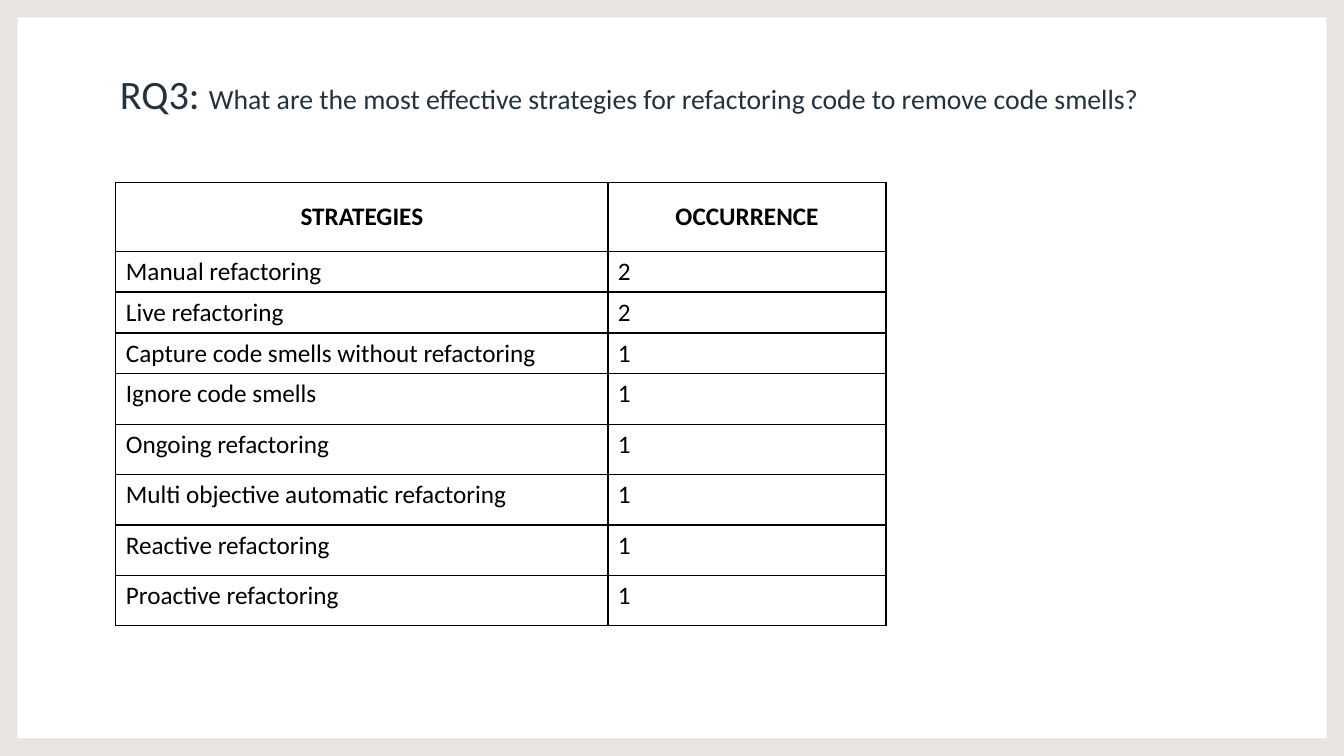
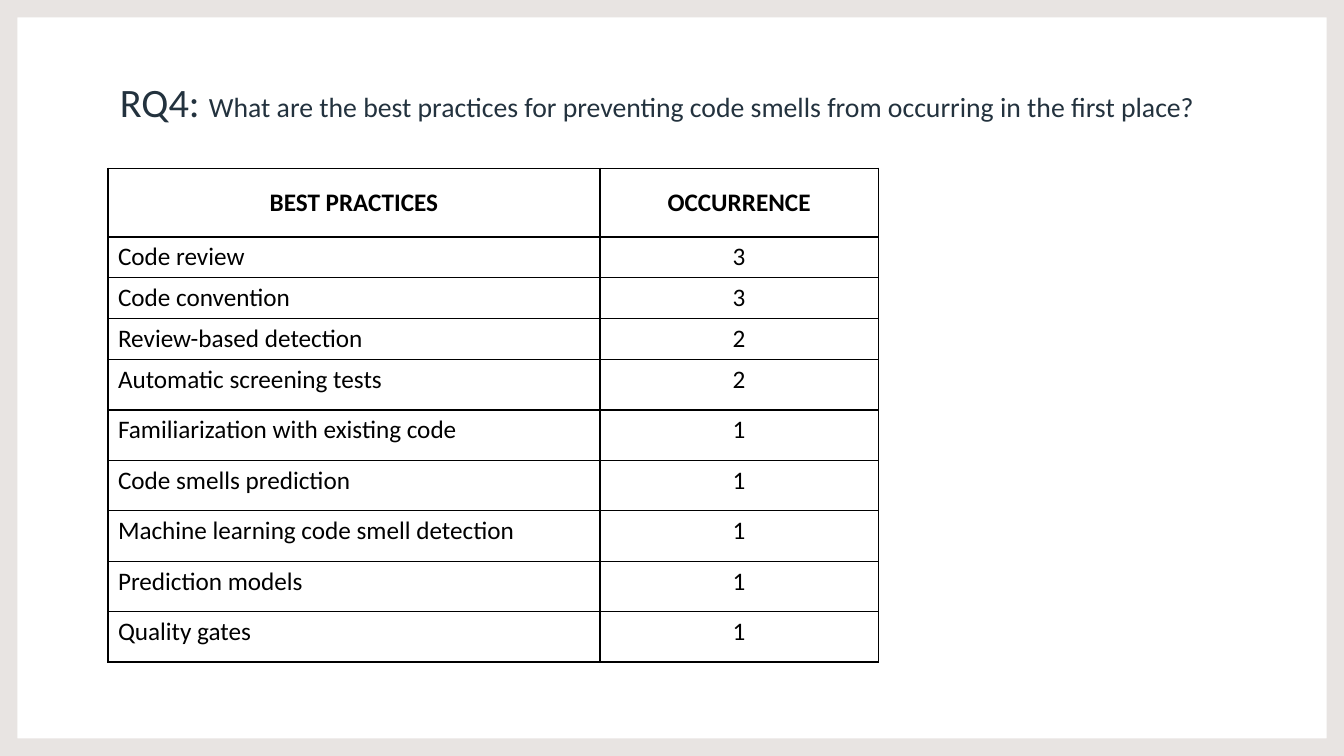
from lxml.etree import SubElement
from pptx import Presentation
from pptx.dml.color import RGBColor
from pptx.enum.shapes import MSO_SHAPE as SHAPE
from pptx.enum.text import MSO_ANCHOR as ANCHOR, MSO_AUTO_SIZE as AUTO_SIZE, PP_ALIGN as ALIGN
from pptx.oxml.ns import qn
from pptx.util import Cm, Pt

FONT = "Calibri"
SLATE = RGBColor(0x23, 0x32, 0x3E)
STONE = RGBColor(0xE8, 0xE4, 0xE2)
BLACK = RGBColor(0x00, 0x00, 0x00)

MARGIN = Cm(0.44)
COLUMN_WIDTHS = Cm(12.4), Cm(7.01)
HEADER_HEIGHT, SHORT_ROW, TALL_ROW = Cm(1.73), Cm(0.97), Cm(1.27)
SHORT_ROW_COUNT = 3

QUESTIONS = [
    {
        "label": "RQ3: ",
        "question": "What are the most effective strategies for refactoring code "
                    "to remove code smells?",
        "title_height": Cm(1.5),
        "table_corner": (Cm(2.92), Cm(4.6)),
        "count_align": ALIGN.LEFT,
        "header": ("STRATEGIES", "OCCURRENCE"),
        "answers": [
            ("Manual refactoring", 2),
            ("Live refactoring", 2),
            ("Capture code smells without refactoring", 1),
            ("Ignore code smells", 1),
            ("Ongoing refactoring", 1),
            ("Multi objective automatic refactoring", 1),
            ("Reactive refactoring", 1),
            ("Proactive refactoring", 1),
        ],
    },
    {
        "label": "RQ4: ",
        "question": "What are the best practices for preventing code smells "
                    "from occurring in the first place?",
        "title_height": Cm(1.7),
        "table_corner": (Cm(2.72), Cm(4.24)),
        "count_align": ALIGN.CENTER,
        "header": ("BEST PRACTICES", "OCCURRENCE"),
        "answers": [
            ("Code review", 3),
            ("Code convention", 3),
            ("Review-based detection", 2),
            ("Automatic screening tests", 2),
            ("Familiarization with existing code", 1),
            ("Code smells prediction", 1),
            ("Machine learning code smell detection", 1),
            ("Prediction models", 1),
            ("Quality gates", 1),
        ],
    },
]


def outline_cell(cell):
    """Draw a thin black line on all four sides of a table cell."""
    properties = cell._tc.get_or_add_tcPr()
    for side in ("lnL", "lnR", "lnT", "lnB"):
        line = SubElement(properties, qn(f"a:{side}"), w=str(Pt(1)))
        fill = SubElement(line, qn("a:solidFill"))
        SubElement(fill, qn("a:srgbClr"), val=str(BLACK))


def fill_cell(cell, text, align, is_header):
    """Write and format one cell of an answer table."""
    outline_cell(cell)
    cell.fill.background()
    cell.text = text
    cell.vertical_anchor = ANCHOR.MIDDLE if is_header else ANCHOR.TOP
    paragraph = cell.text_frame.paragraphs[0]
    paragraph.alignment = align
    paragraph.font.name = FONT
    paragraph.font.size = Pt(18)
    paragraph.font.bold = is_header
    paragraph.font.color.rgb = BLACK


deck = Presentation()
deck.slide_width, deck.slide_height = Cm(33.87), Cm(19.05)
layout = deck.slide_layouts.get_by_name("Title Only")

for topic in QUESTIONS:
    slide = deck.slides.add_slide(layout)

    # The border belongs to the layout, so it is moved there once.
    if topic is QUESTIONS[0]:
        border = slide.shapes.add_shape(
            SHAPE.FRAME, 0, 0, deck.slide_width, deck.slide_height)
        border.adjustments[0] = MARGIN / deck.slide_height
        border.fill.solid()
        border.fill.fore_color.rgb = STONE
        border.line.fill.background()
        border.shadow.inherit = False
        layout.shapes.element.insert(2, border.element)

    title = slide.shapes.title
    title.left, title.top = Cm(2.77), Cm(1.6)
    title.width, title.height = Cm(29.26), topic["title_height"]
    title.text_frame.auto_size = AUTO_SIZE.NONE
    title.text_frame.vertical_anchor = ANCHOR.BOTTOM
    heading = title.text_frame.paragraphs[0]
    heading.alignment = ALIGN.LEFT
    heading.line_spacing = 1.1
    heading.font.name = FONT
    heading.font.color.rgb = SLATE
    for part, size in (("label", 28.8), ("question", 19.8)):
        run = heading.add_run()
        run.text = topic[part]
        run.font.size = Pt(size)

    rows = [topic["header"], *topic["answers"]]
    tall_count = len(rows) - 1 - SHORT_ROW_COUNT
    heights = [HEADER_HEIGHT] + [SHORT_ROW] * SHORT_ROW_COUNT + [TALL_ROW] * tall_count
    table = slide.shapes.add_table(
        len(rows), len(COLUMN_WIDTHS), *topic["table_corner"],
        sum(COLUMN_WIDTHS), sum(heights)).table
    table.first_row = table.horz_banding = False
    for column, width in zip(table.columns, COLUMN_WIDTHS):
        column.width = width

    for r, (values, height) in enumerate(zip(rows, heights)):
        table.rows[r].height = height
        is_header = r == 0
        aligns = [ALIGN.CENTER] * 2 if is_header else [ALIGN.LEFT, topic["count_align"]]
        for c, (value, align) in enumerate(zip(values, aligns)):
            fill_cell(table.cell(r, c), str(value), align, is_header)

deck.save("out.pptx")
